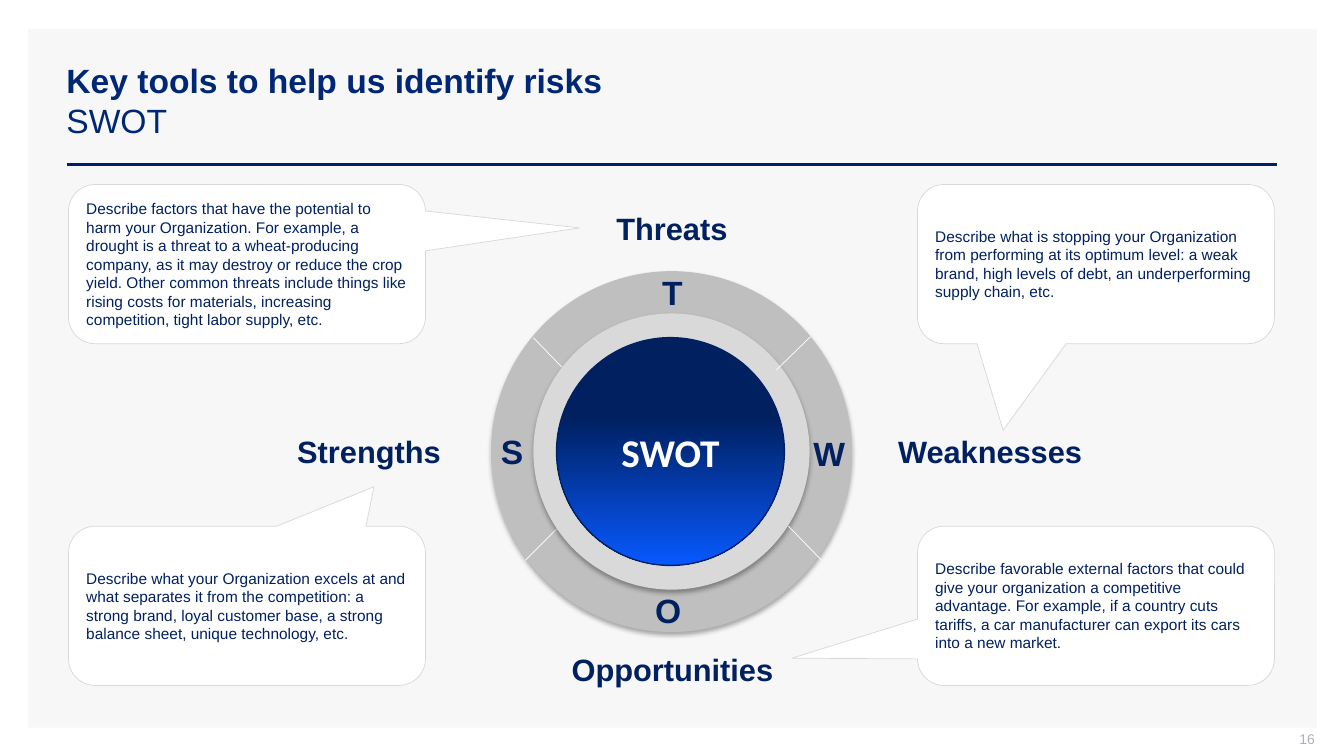
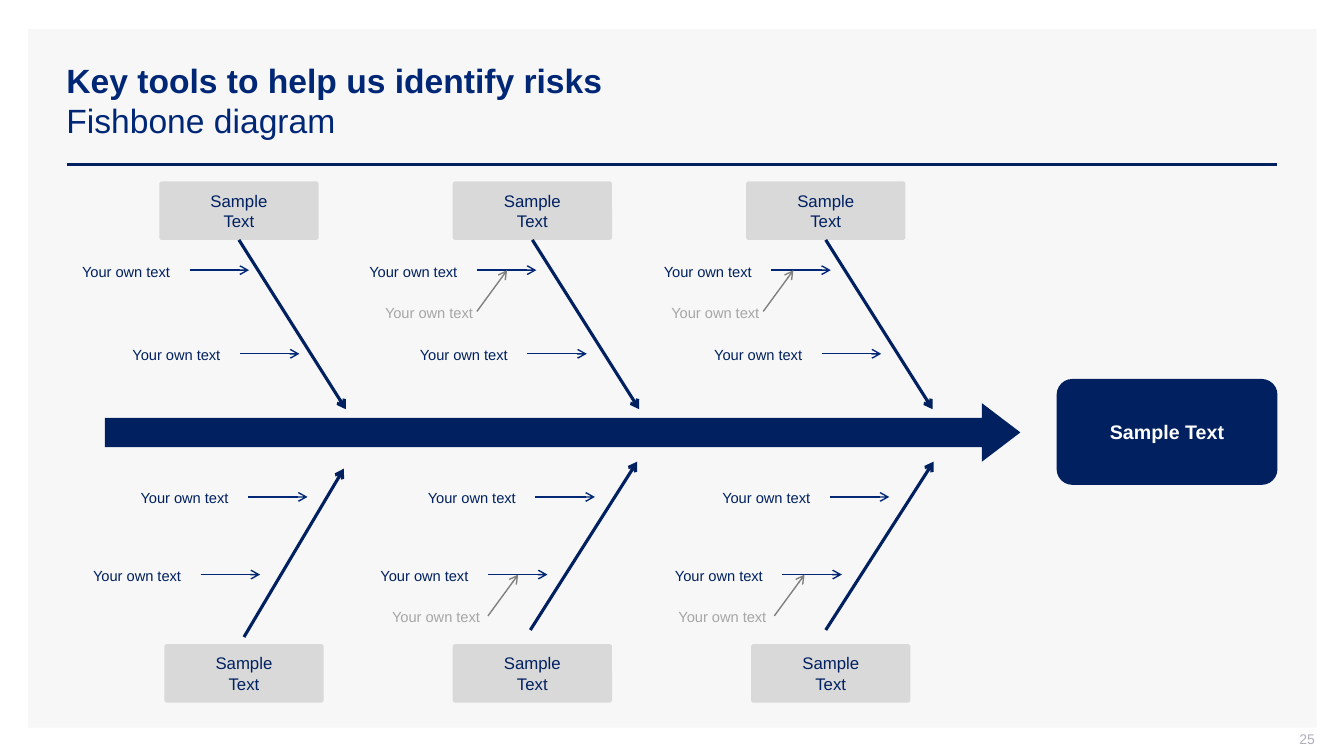
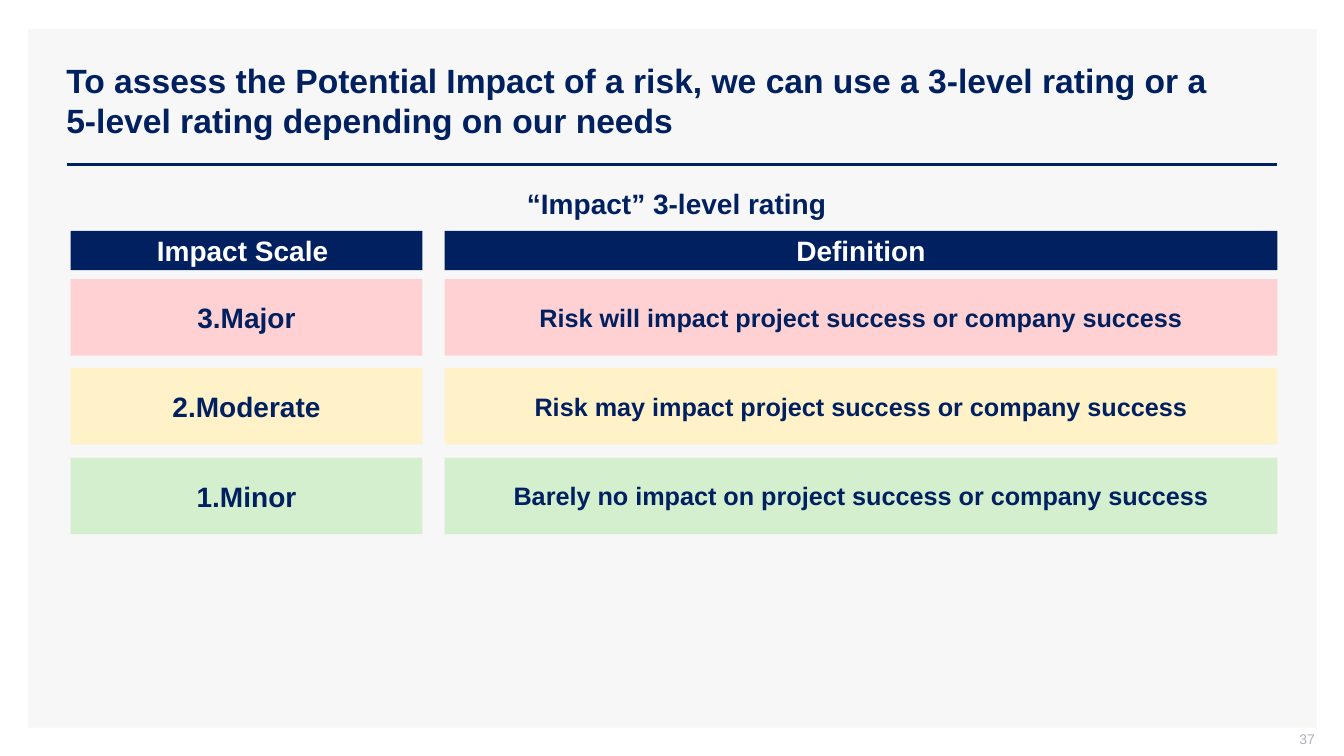
from dataclasses import dataclass

from lxml.etree import SubElement
from pptx import Presentation
from pptx.dml.color import RGBColor
from pptx.enum.shapes import MSO_CONNECTOR, MSO_SHAPE
from pptx.enum.text import MSO_ANCHOR, PP_ALIGN
from pptx.oxml.ns import qn
from pptx.util import Emu, Pt


@dataclass(frozen=True)
class Theme:
    font: str = "Arial"
    hub_font: str = "Calibri"
    navy: str = "002060"
    title: str = "002776"
    bright: str = "0759FF"
    white: str = "FFFFFF"
    panel: str = "F7F7F7"
    ring: str = "BFBFBF"
    light: str = "D9D9D9"
    outline: str = "D8D8D8"
    branch: str = "808080"
    muted: str = "A6A6A6"
    number: str = "ADAFBB"
    red: str = "FFD1D2"
    yellow: str = "FFF2C9"
    green: str = "D3EFCE"
    title_size: float = 24
    hub_size: float = 28
    label_size: float = 22
    head_size: float = 20
    body_size: float = 18
    goal_size: float = 14
    cause_size: float = 12
    note_size: float = 11
    twig_size: float = 10.5
    number_size: float = 10


T = Theme()
LEFT, CENTER, RIGHT = PP_ALIGN.LEFT, PP_ALIGN.CENTER, PP_ALIGN.RIGHT
TOP, MIDDLE = MSO_ANCHOR.TOP, MSO_ANCHOR.MIDDLE


def px(n):
    return Emu(n * 9144)


def rgb(color):
    return RGBColor.from_string(color)


def write(tf, text, size, color=T.navy, bold=False, align=CENTER,
          anchor=MIDDLE, font=T.font):
    tf.word_wrap = True
    tf.vertical_anchor = anchor
    for i, line in enumerate(text.split("\n")):
        p = tf.add_paragraph() if i else tf.paragraphs[0]
        p.text = line
        p.alignment = align
        p.font.name = font
        p.font.size = Pt(size)
        p.font.bold = bold
        p.font.color.rgb = rgb(color)


def label(s, box, text, size, **style):
    sp = s.shapes.add_textbox(*map(px, box))
    write(sp.text_frame, text, size, **style)
    return sp


def shape(s, kind, box, fill, adj=(), line=None, width=1):
    sp = s.shapes.add_shape(kind, *map(px, box))
    sp.shadow.inherit = False
    sp.fill.solid()
    sp.fill.fore_color.rgb = rgb(fill)
    if line:
        sp.line.color.rgb = rgb(line)
        sp.line.width = Pt(width)
    else:
        sp.line.fill.background()
    for i, value in enumerate(adj):
        sp.adjustments[i] = value
    return sp


def block(s, box, fill, text, size, kind=MSO_SHAPE.RECTANGLE, adj=(), **style):
    sp = shape(s, kind, box, fill, adj)
    write(sp.text_frame, text, size, **style)
    return sp


def line(s, x1, y1, x2, y2, color, width, arrow=False):
    c = s.shapes.add_connector(MSO_CONNECTOR.STRAIGHT, *map(px, (x1, y1, x2, y2)))
    c.line.color.rgb = rgb(color)
    c.line.width = Pt(width)
    pr = c.element.spPr
    if arrow:
        SubElement(pr.find(qn("a:ln")), qn("a:tailEnd"), type="arrow")
    SubElement(pr, qn("a:effectLst"))
    return c


def disc(s, cx, cy, d, fill, shadow=True):
    sp = shape(s, MSO_SHAPE.OVAL, (cx - d // 2, cy - d // 2, d, d), fill)
    if shadow:
        effects = sp.element.spPr.find(qn("a:effectLst"))
        cast = SubElement(effects, qn("a:outerShdw"), blurRad="44450",
                          dist="27940", dir="5400000", rotWithShape="0")
        SubElement(SubElement(cast, qn("a:srgbClr"), val="000000"),
                   qn("a:alpha"), val="32000")
    return sp


def new_slide(prs, number, title, subtitle=None, color=T.title, width=1211):
    s = prs.slides.add_slide(prs.slide_layouts[6])
    shape(s, MSO_SHAPE.RECTANGLE, (28, 29, 1278, 693), T.panel)
    line(s, 66, 163, 1267, 163, T.navy, 2)
    sp = label(s, (56, 40, width, 119), title, T.title_size, color=color,
               bold=True, align=LEFT)
    if subtitle:
        p = sp.text_frame.paragraphs[0]
        p.add_line_break()
        r = p.add_run()
        r.text = subtitle
        r.font.bold = False
    tf = label(s, (1004, 725, 300, 21), number, T.number_size,
               color=T.number, align=RIGHT).text_frame
    tf.margin_top = tf.margin_right = 0
    return s


def callout(s, x, y, tip, text):
    sp = shape(s, MSO_SHAPE.ROUNDED_RECTANGULAR_CALLOUT, (x, y, 354, 158),
               T.white, (*tip, 0.167), T.outline, 0.5)
    write(sp.text_frame, text, T.note_size, align=LEFT)


def swot_wheel(s):
    cx, cy = 666, 448
    disc(s, cx, cy, 358, T.ring)
    for ends in ((529, 335, 561, 368), (521, 556, 554, 523)):
        line(s, *ends, T.white, 0.5)
    disc(s, cx, cy, 274, T.light)
    for ends in ((770, 367, 804, 334), (782, 522, 815, 556)):
        line(s, *ends, T.white, 0.5)
    hub = disc(s, cx - 1, cy, 226, T.navy, shadow=False)
    hub.fill.gradient()
    hub.fill.gradient_angle = 270
    stops = ((0.35, T.navy), (1, T.bright))
    for stop, (position, color) in zip(hub.fill.gradient_stops, stops):
        stop.position = position
        stop.color.rgb = rgb(color)
    hub.line.color.rgb = rgb(T.navy)
    hub.line.width = Pt(1)
    write(hub.text_frame, "SWOT", T.hub_size, T.white, True, font=T.hub_font)
    for letter, x, y in (("S", 487, 423), ("T", 647, 265),
                         ("O", 640, 580), ("W", 797, 425)):
        label(s, (x, y, 50, 50), letter, T.title_size, bold=True,
              align=LEFT, anchor=TOP)


def swot_slide(prs):
    s = new_slide(prs, "16", "Key tools to help us identify risks", "SWOT")
    swot_wheel(s)
    for text, x, y, w in (("Threats", 528, 203, 277),
                          ("Opportunities", 484, 641, 366),
                          ("Strengths", 219, 424, 294),
                          ("Weaknesses", 835, 424, 294)):
        label(s, (x, y, w, 47), text, T.label_size, bold=True, anchor=TOP)
    left, right, upper, lower = 68, 910, 183, 522
    callout(s, right, upper, (-0.26, 1.043),
            "Describe what is stopping your Organization from performing at its "
            "optimum level: a weak brand, high levels of debt, an "
            "underperforming supply chain, etc.")
    callout(s, left, upper, (0.932, -0.227),
            "Describe factors that have the potential to harm your Organization. "
            "For example, a drought is a threat to a wheat-producing company, as "
            "it may destroy or reduce the crop yield. Other common threats "
            "include things like rising costs for materials, increasing "
            "competition, tight labor supply, etc.")
    callout(s, right, lower, (-0.852, 0.329),
            "Describe favorable external factors that could give your "
            "organization a competitive advantage. For example, if a country "
            "cuts tariffs, a car manufacturer can export its cars into a new "
            "market.")
    callout(s, left, lower, (0.356, -0.748),
            "Describe what your Organization excels at and what separates it "
            "from the competition: a strong brand, loyal customer base, a strong "
            "balance sheet, unique technology, etc.")


def cause(s, x, y):
    return block(s, (x, y, 158, 58), T.light, "Sample\nText", T.cause_size,
                 MSO_SHAPE.ROUNDED_RECTANGLE, (0.043,))


def twig(s, x, y):
    line(s, x + 132, y + 13, x + 191, y + 13, T.title, 1, arrow=True)
    label(s, (x, y, 138, 28), "Your own text", T.twig_size)


def branch(s, x, y, gap):
    line(s, x, y, x + 30, y - 41, T.branch, 1, arrow=True)
    label(s, (x + gap - 158, y - 13, 158, 28), "Your own text", T.twig_size,
          color=T.muted, align=RIGHT)


def fishbone_slide(prs):
    s = new_slide(prs, "25", "Key tools to help us identify risks",
                  "Fishbone diagram")
    shape(s, MSO_SHAPE.RIGHT_ARROW, (104, 400, 908, 58), T.navy, (0.5, 0.657))
    for x in range(158, 741, 291):
        box = cause(s, x, 180)
        rib = line(s, x + 79, 238, x + 185, 406, T.navy, 2.25, arrow=True)
        rib.begin_connect(box, 2)
    for x, *rib in ((163, 242, 632, 341, 465), (449, 526, 625, 632, 458),
                    (745, 819, 625, 926, 458)):
        cause(s, x, 639)
        line(s, *rib, T.navy, 2.25, arrow=True)
    for x in (56, 341, 633):
        for dx, y in ((0, 255), (50, 338), (58, 480), (11, 557)):
            twig(s, x + dx, y)
    for x in (473, 757):
        branch(s, x, 309, 6)
        branch(s, x + 11, 611, 2)
    block(s, (1048, 376, 219, 105), T.navy, "Sample Text", T.goal_size,
          MSO_SHAPE.ROUNDED_RECTANGLE, (0.148,), color=T.white, bold=True)


def impact_slide(prs):
    s = new_slide(prs, "37", "To assess the Potential Impact of a risk, we can "
                  "use a 3-level rating or a 5-level rating depending on our "
                  "needs", color=T.navy, width=1184)
    label(s, (365, 180, 620, 44), "“Impact” 3-level rating ", T.head_size,
          bold=True, anchor=TOP)
    columns = ((70, 349, T.head_size), (441, 826, T.body_size))
    for (x, w, _), text in zip(columns, ("Impact Scale ", "Definition")):
        block(s, (x, 229, w, 39), T.navy, text, T.head_size,
              color=T.white, bold=True)
    levels = (
        (T.red, "3.Major", "Risk will impact project success or company success"),
        (T.yellow, "2.Moderate",
         "Risk may impact project success or company success"),
        (T.green, "1.Minor",
         "Barely no impact on project success or company success"),
    )
    for i, (fill, *texts) in enumerate(levels):
        for (x, w, size), text in zip(columns, texts):
            block(s, (x, 277 + 177 * i // 2, w, 76), fill, text, size, bold=True)


def main():
    prs = Presentation()
    prs.slide_width, prs.slide_height = px(1333), px(750)
    swot_slide(prs)
    fishbone_slide(prs)
    impact_slide(prs)
    prs.save("out.pptx")


if __name__ == "__main__":
    main()
